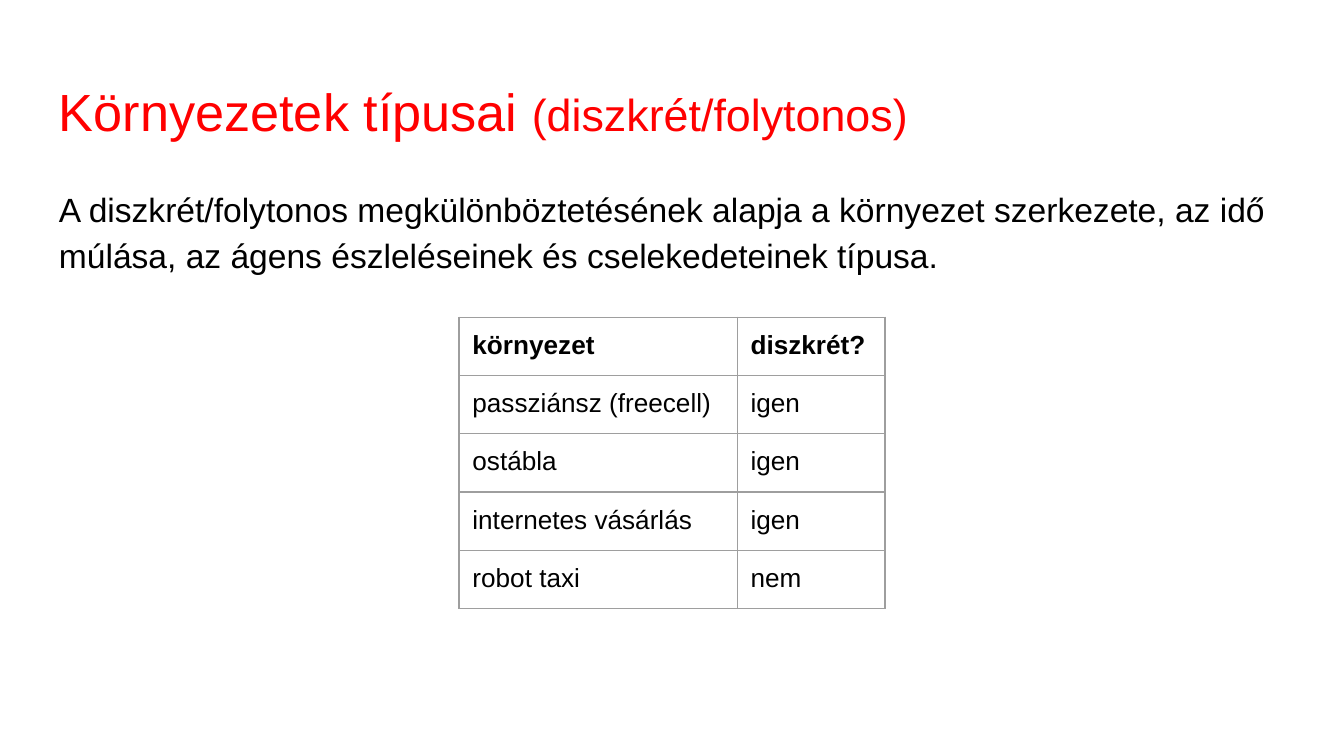
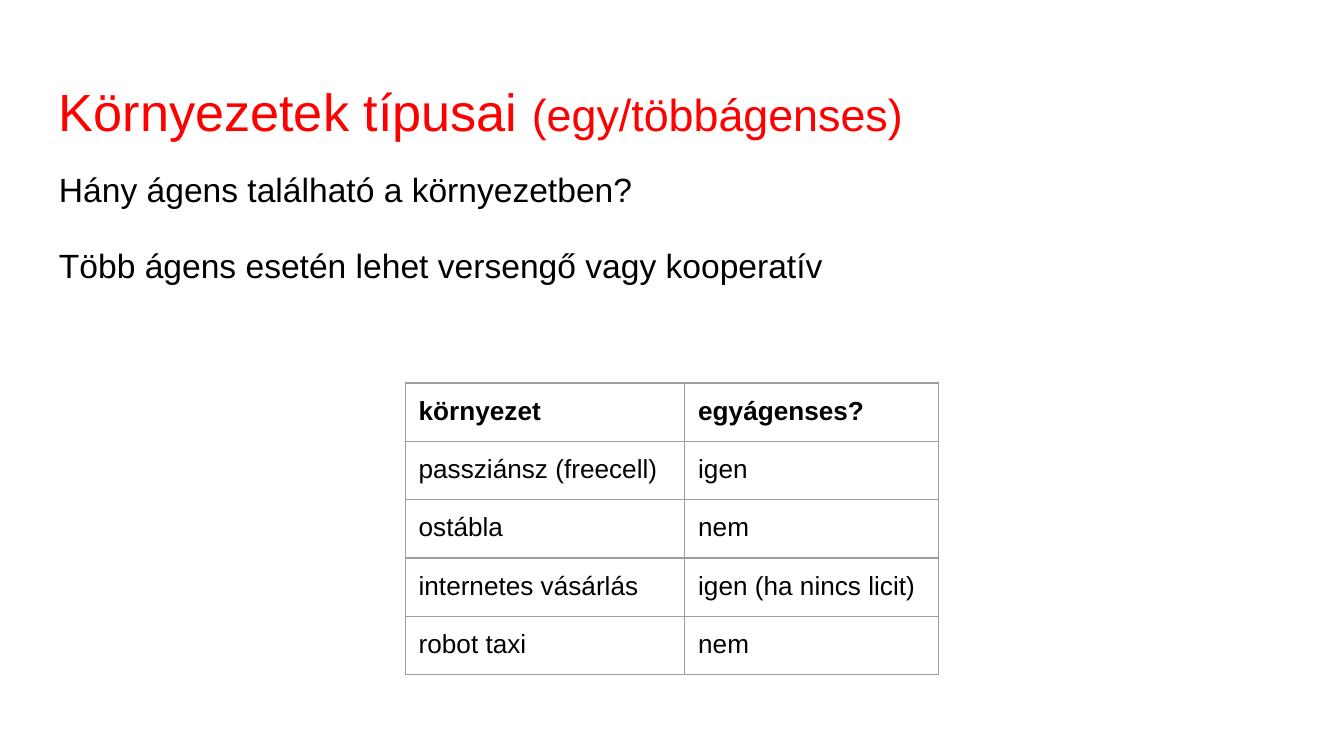
from lxml import etree
from pptx import Presentation
from pptx import util as u
from pptx.dml.color import RGBColor
from pptx.enum import text
from pptx.oxml.ns import qn

COLORS = {"title": "FF0000", "text": "000000", "border": "9E9E9E"}
FONT = "Arial"
WIDTH = 10
HEIGHT = WIDTH * 9 / 16
MARGIN = 0.34
INSET = 0.1
ROW_HEIGHT = 0.42
TITLE = "Környezetek típusai "
ENVIRONMENTS = ["környezet", "passziánsz (freecell)", "ostábla",
                "internetes vásárlás", "robot taxi"]

SLIDES = [
    {
        "subtitle": "(diszkrét/folytonos)",
        "body": ["A diszkrét/folytonos megkülönböztetésének alapja a környezet "
                 "szerkezete, az idő múlása, az ágens észleléseinek és "
                 "cselekedeteinek típusa."],
        "body_top": 1.26,
        "answers": ["diszkrét?", "igen", "igen", "igen", "nem"],
        "table_top": 2.36,
        "columns": [2.07, 1.1],
    },
    {
        "subtitle": "(egy/többágenses)",
        "body": ["Hány ágens található a környezetben?",
                 "Több ágens esetén lehet versengő vagy kooperatív"],
        "body_top": 1.11,
        "answers": ["egyágenses?", "igen", "nem", "igen (ha nincs licit)", "nem"],
        "table_top": 2.85,
        "columns": [2.08, 1.89],
    },
]


def style(r, size, color="text", bold=False):
    r.font.name = FONT
    r.font.size = u.Pt(size)
    r.font.bold = bold
    r.font.color.rgb = RGBColor.from_string(COLORS[color])


def set_insets(target):
    for side in ("left", "right", "top", "bottom"):
        setattr(target, f"margin_{side}", u.Inches(INSET))


def add_text_frame(s, top, height):
    sp = s.shapes.add_textbox(u.Inches(MARGIN), u.Inches(top),
                              u.Inches(WIDTH - 2 * MARGIN), u.Inches(height))
    tf = sp.text_frame
    tf.word_wrap = True
    tf.vertical_anchor = text.MSO_ANCHOR.TOP
    set_insets(tf)
    return tf


def add_title(s, subtitle):
    p = add_text_frame(s, 0.49, 0.63).paragraphs[0]
    for words, size in ((TITLE, 28), (subtitle, 24)):
        r = p.add_run()
        r.text = words
        style(r, size, "title")


def add_body(s, lines, top):
    tf = add_text_frame(s, top, 3.74)
    tf.text = "\n".join(lines)
    for p in tf.paragraphs:
        p.line_spacing = 1.15
        p.space_before = u.Pt(0)
        style(p.runs[0], 18)
    for p in tf.paragraphs[1:]:
        p.space_before = u.Pt(16)
    tf.paragraphs[-1].space_after = u.Pt(16)


def add_borders(cell):
    """Draw all four cell edges; they must precede the fill in the XML."""
    tc_pr = cell._tc.get_or_add_tcPr()
    for i, edge in enumerate(("lnL", "lnR", "lnT", "lnB")):
        ln = etree.Element(qn(f"a:{edge}"), w=str(u.Pt(0.75)))
        fill = etree.SubElement(ln, qn("a:solidFill"))
        etree.SubElement(fill, qn("a:srgbClr"), val=COLORS["border"])
        tc_pr.insert(i, ln)


def add_table(s, answers, top, columns):
    rows = list(zip(ENVIRONMENTS, answers))
    width = sum(columns)
    table = s.shapes.add_table(
        len(rows), len(columns), u.Inches((WIDTH - width) / 2), u.Inches(top),
        u.Inches(width), u.Inches(ROW_HEIGHT * len(rows))).table
    table.horz_banding = False
    for column, size in zip(table.columns, columns):
        column.width = u.Inches(size)
    for i, row in enumerate(rows):
        table.rows[i].height = u.Inches(ROW_HEIGHT)
        for j, words in enumerate(row):
            cell = table.cell(i, j)
            cell.text = words
            cell.fill.background()
            set_insets(cell)
            style(cell.text_frame.paragraphs[0].runs[0], 14, bold=i == 0)
            add_borders(cell)


def main():
    prs = Presentation()
    prs.slide_width, prs.slide_height = u.Inches(WIDTH), u.Inches(HEIGHT)
    for content in SLIDES:
        s = prs.slides.add_slide(prs.slide_layouts[6])
        add_title(s, content["subtitle"])
        add_body(s, content["body"], content["body_top"])
        add_table(s, content["answers"], content["table_top"], content["columns"])
    prs.save("out.pptx")


if __name__ == "__main__":
    main()
